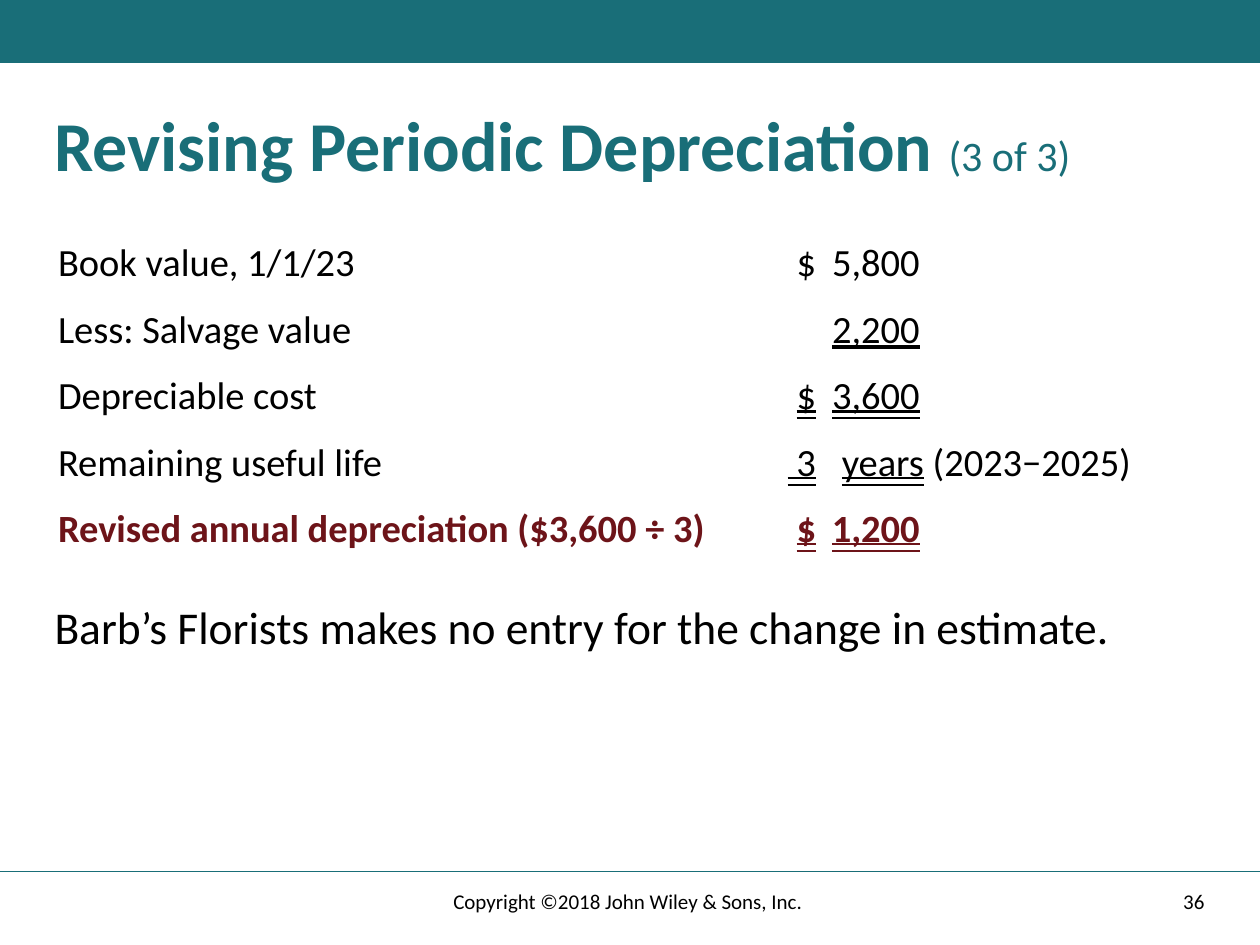
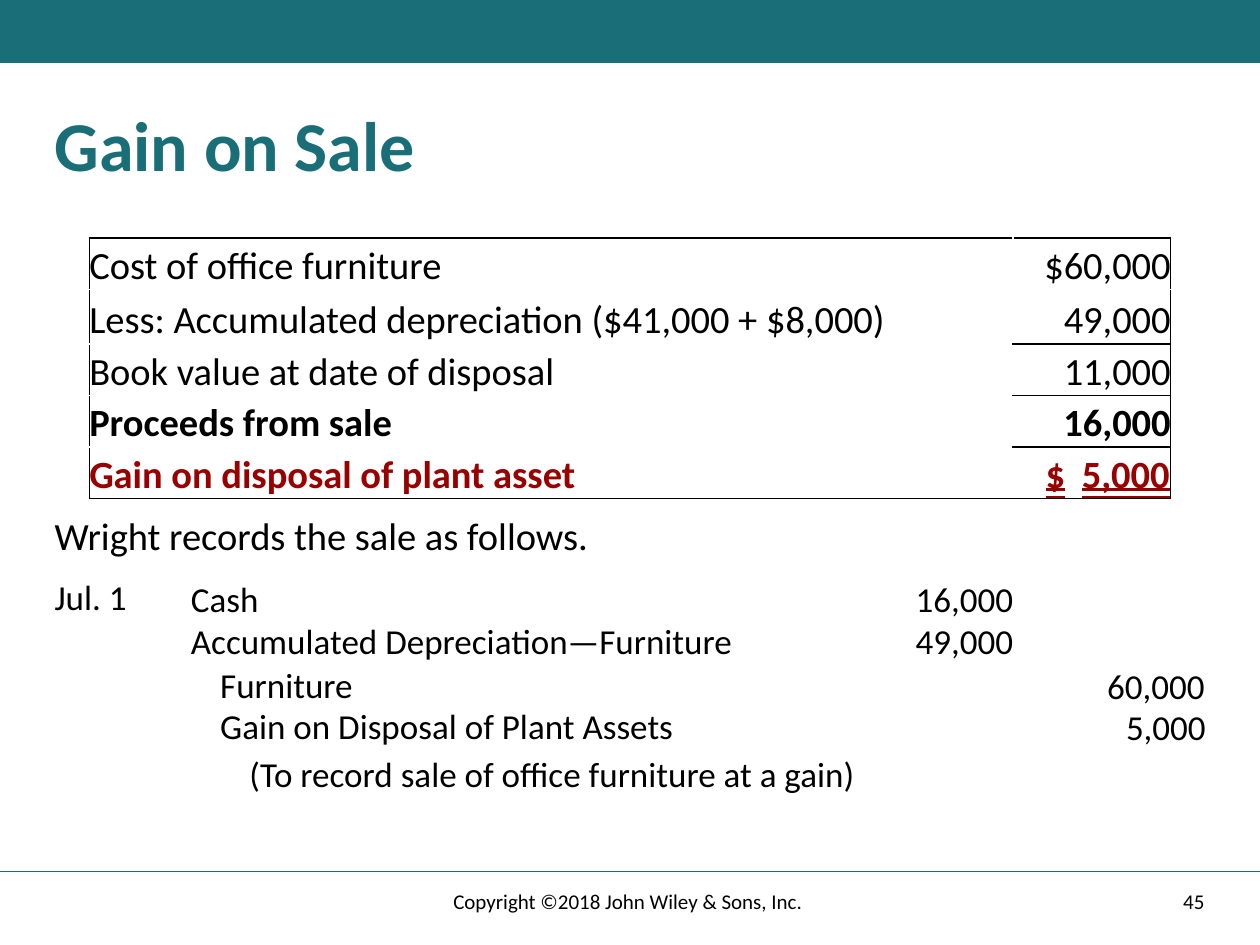
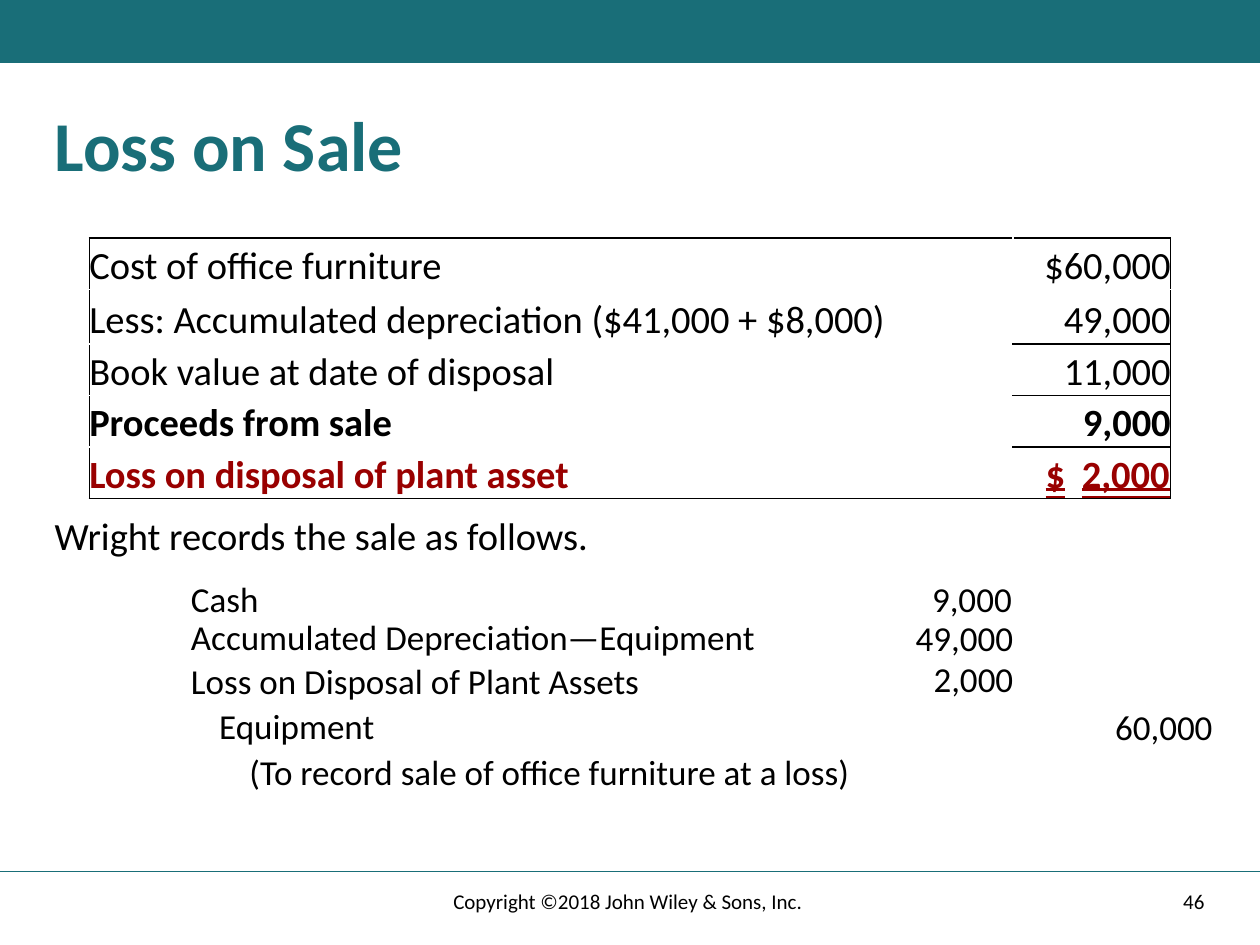
import pptx
import pptx.dml.color
import pptx.enum.shapes
import pptx.enum.text
import pptx.oxml
import pptx.oxml.ns
import pptx.util
from lxml import etree

Cm = pptx.util.Cm
Align = pptx.enum.text.PP_ALIGN
Anchor = pptx.enum.text.MSO_ANCHOR
Underline = pptx.enum.text.MSO_UNDERLINE
qn = pptx.oxml.ns.qn

COLORS = {"teal": "196E78", "black": "000000", "maroon": "6D1419", "red": "990000"}
LEFT_EDGE = 0.85
FULL_WIDTH = 23.71
LINE_HEIGHT = 1.02


def write(para, spans, tabs=(), **shared):
    properties = para._p.get_or_add_pPr()
    if tabs:
        tab_list = etree.SubElement(properties, qn("a:tabLst"))
        for position, side in tabs:
            etree.SubElement(tab_list, qn("a:tab"), pos=str(Cm(position)), algn=side)
    for words, own in spans:
        values = {"name": "Calibri", "size": 22, "color": "black", **shared, **own}
        span = para.add_run()
        span.text = words
        span.font.color.rgb = pptx.dml.color.RGBColor.from_string(COLORS[values.pop("color")])
        values["size"] = pptx.util.Pt(values["size"])
        for name, value in values.items():
            setattr(span.font, name, value)


def add_text(page, left, top, width, height, spans, align=Align.LEFT, anchor=Anchor.TOP, spacing=0.9, **shared):
    box = page.shapes.add_textbox(Cm(left), Cm(top), Cm(width), Cm(height))
    box.text_frame.word_wrap = True
    box.text_frame.vertical_anchor = anchor
    para = box.text_frame.paragraphs[0]
    para.alignment = align
    para.line_spacing = spacing
    write(para, spans, **shared)


deck = pptx.Presentation()
deck.slide_width = Cm(25.4)
deck.slide_height = Cm(19.05)

titles = [
    ([("Revising Periodic Depreciation ", {}), ("(3 of 3)", {"size": 24, "bold": False})], "36", 1.85),
    ([("Gain on Sale", {})], "45", 2.33),
    ([("Loss on Sale", {})], "46", 2.33),
]
pages = []
for title, number, title_height in titles:
    page = deck.slides.add_slide(deck.slide_layouts[6])
    pages.append(page)
    teal = pptx.dml.color.RGBColor.from_string(COLORS["teal"])
    band = page.shapes.add_shape(pptx.enum.shapes.MSO_SHAPE.RECTANGLE, 0, 0, deck.slide_width, Cm(1.27))
    band.shadow.inherit = False
    band.fill.solid()
    band.fill.fore_color.rgb = teal
    band.line.fill.background()
    rule = page.shapes.add_connector(
        pptx.enum.shapes.MSO_CONNECTOR.STRAIGHT, 0, Cm(17.57), deck.slide_width, Cm(17.57))
    rule.line.color.rgb = teal
    rule.line.width = pptx.util.Pt(1)
    etree.SubElement(rule._element.spPr, qn("a:effectLst"))
    add_text(page, LEFT_EDGE, 2.12, FULL_WIDTH, title_height, title, size=40, color="teal", bold=True)
    footer = {"anchor": Anchor.MIDDLE, "spacing": 1.0, "size": 12}
    add_text(page, 17.93, 17.65, 6.6, LINE_HEIGHT, [(number, {})], align=Align.RIGHT, **footer)
    add_text(page, 8.41, 17.65, 8.59, LINE_HEIGHT,
             [("Copyright ©2018 John Wiley & Sons, Inc. ", {})], align=Align.CENTER, **footer)

single = {"underline": Underline.SINGLE_LINE}
double = {"underline": Underline.DOUBLE_LINE}
dollar_tab = [(2.48, "r")]
revision_rows = [
    ("Book value, 1/1/23", [("$\t5,800", {})], 1.63, dollar_tab, {}),
    ("Less: Salvage value", [("\t2,200", single)], 1.63, dollar_tab, {}),
    ("Depreciable cost", [("$\t3,600", double)], 1.63, dollar_tab, {}),
    ("Remaining useful life", [(" 3\tyears", double), (" (2023−2025)", {})], 1.45, [(1.09, "l")], {}),
    ("Revised annual depreciation ($3,600 ÷ 3)", [("$\t1,200", double)], 1.63, dollar_tab,
     {"color": "maroon", "bold": True}),
]
revision_frame = pages[0].shapes.add_table(5, 2, Cm(1.17), Cm(4.45), Cm(22.1), Cm(6.7))
revision = revision_frame.table
sale_tables = [
    page.shapes.add_table(5, 2, Cm(1.8), Cm(4.8), Cm(21.8), Cm(5.25)).table for page in pages[1:]
]
for table, widths, heights in [
    (revision, [13.26, 8.84], [1.34] * 5),
    *[(table, [18.62, 3.18], [1.04, 1.09, 1.04, 1.04, 1.04]) for table in sale_tables],
]:
    table.first_row = False
    table.horz_banding = False
    for column, width in zip(table.columns, widths):
        column.width = Cm(width)
    for row, height in zip(table.rows, heights):
        row.height = Cm(height)
    for cell in table.iter_cells():
        cell.fill.background()
        cell.vertical_anchor = Anchor.BOTTOM
        for side in ("left", "right", "top", "bottom"):
            setattr(cell, "margin_" + side, 0)

for row, (label, amount, indent, tabs, style) in enumerate(revision_rows):
    write(revision.cell(row, 0).text_frame.paragraphs[0], [(label, {})], **style)
    amount_cell = revision.cell(row, 1)
    amount_cell.margin_left = Cm(indent)
    write(amount_cell.text_frame.paragraphs[0], amount, tabs, **style)
add_text(pages[0], LEFT_EDGE, 12.07, FULL_WIDTH, 1.47,
         [("Barb’s Florists makes no entry for the change in estimate.", {})], size=26)

sales = [
    ("Gain", "16,000", "5,000", [
        ("Jul. 1", LEFT_EDGE, 11.58, 2.11),
        ("Cash", 3.6, 11.61, 1.91),
        ("16,000", 18.21, 11.61, 2.97),
        ("Accumulated Depreciation—Furniture", 3.6, 12.45, 12.27),
        ("49,000", 18.21, 12.45, 2.67),
        ("Furniture", 4.19, 13.34, 3.86),
        ("60,000", 22.07, 13.36, 2.54),
        ("Gain on Disposal of Plant Assets", 4.19, 14.17, 10.62),
        ("5,000", 22.45, 14.2, 2.34),
        ("(To record sale of office furniture at a gain)", 4.78, 15.14, 13),
    ]),
    ("Loss", "9,000", "2,000", [
        ("Cash", 3.6, 11.61, 1.91),
        ("9,000", 18.54, 11.61, 2.97),
        ("Accumulated Depreciation—Equipment", 3.6, 12.37, 12.27),
        ("49,000", 18.21, 12.4, 2.67),
        ("Loss on Disposal of Plant Assets", 3.6, 13.26, 12.07),
        ("2,000", 18.57, 13.23, 2.24),
        ("Equipment", 4.17, 14.17, 5.13),
        ("60,000", 22.23, 14.2, 2.59),
        ("(To record sale of office furniture at a loss)", 4.78, 15.11, 12.8),
    ]),
]
for page, table, (outcome, proceeds, result, entries) in zip(pages[1:], sale_tables, sales):
    sale_rows = [
        ("Cost of office furniture", "$60,000", {}),
        ("Less: Accumulated depreciation ($41,000 + $8,000)", "49,000", {}),
        ("Book value at date of disposal", "11,000", {}),
        ("Proceeds from sale", proceeds, {"bold": True}),
        (f"{outcome} on disposal of plant asset", f"\t$\t{result}", {"bold": True, "color": "red"}),
    ]
    last = len(sale_rows) - 1
    for row, (label, amount, style) in enumerate(sale_rows):
        label_cell, amount_cell = table.cell(row, 0), table.cell(row, 1)
        label_cell.margin_right = Cm(0.5)
        write(label_cell.text_frame.paragraphs[0], [(label, {})], **style)
        para = amount_cell.text_frame.paragraphs[0]
        if row == last:
            amount_cell.margin_left = Cm(0.12)
            write(para, [(amount, double)], [(0.54, "l"), (3.04, "r")], **style)
        else:
            para.alignment = Align.RIGHT
            write(para, [(amount, {})], **style)
        for cell, outer in [(label_cell, "L"), (amount_cell, "R")]:
            sides = [outer]
            if row == 0 or (outer == "R" and row > 1):
                sides.append("T")
            if row == last or (outer == "R" and row > 0):
                sides.append("B")
            for place, side in enumerate(sides):
                border = pptx.oxml.parse_xml(
                    f'<a:ln{side} xmlns:a="http://schemas.openxmlformats.org/drawingml/2006/main" w="12700">'
                    f'<a:solidFill><a:srgbClr val="{COLORS["black"]}"/></a:solidFill></a:ln{side}>')
                cell._tc.get_or_add_tcPr().insert(place, border)
    add_text(page, LEFT_EDGE, 10.31, 11.43, LINE_HEIGHT, [("Wright records the sale as follows.", {})])
    for words, left, top, width in entries:
        add_text(page, left, top, width, LINE_HEIGHT, [(words, {})], size=20)

deck.save("out.pptx")
